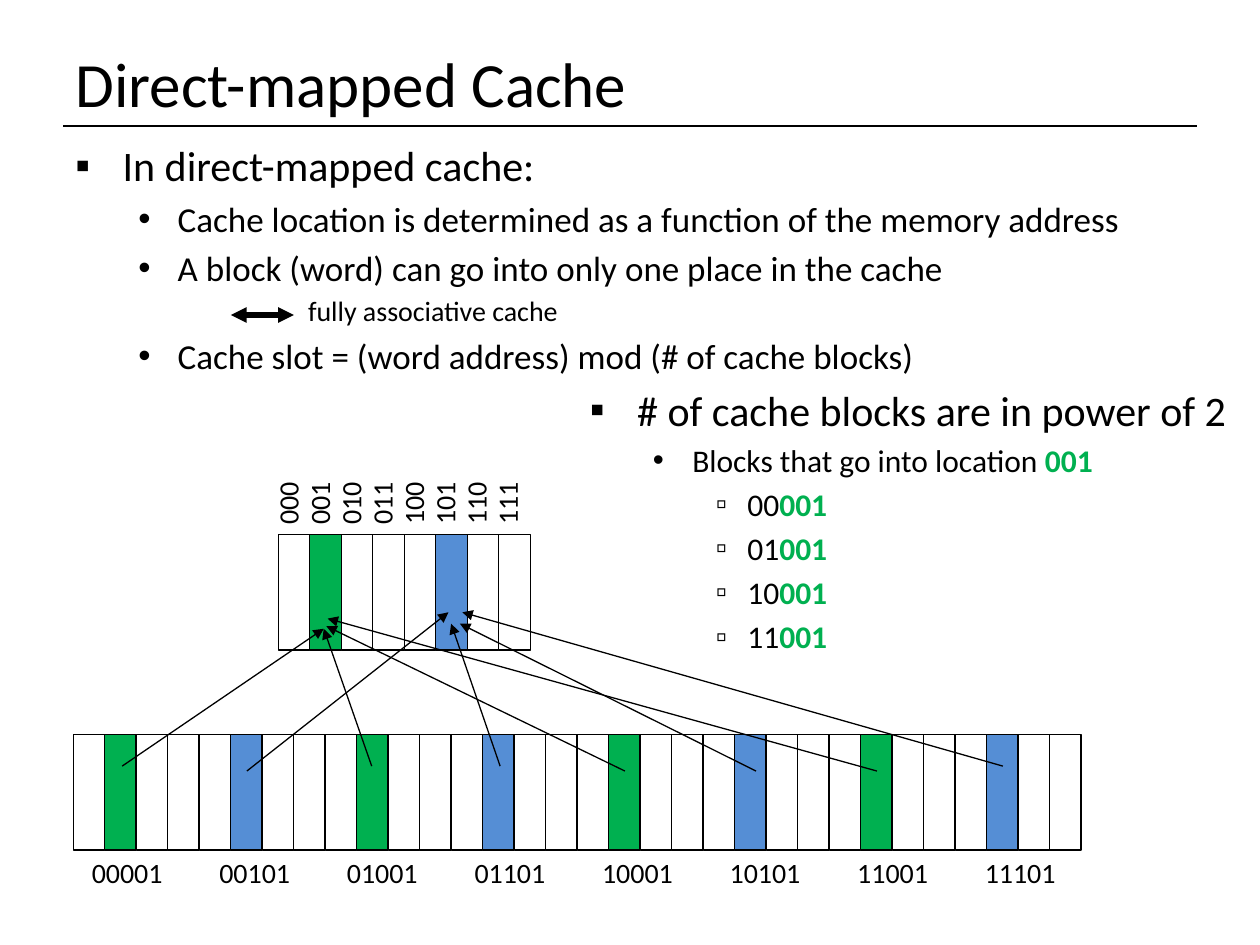
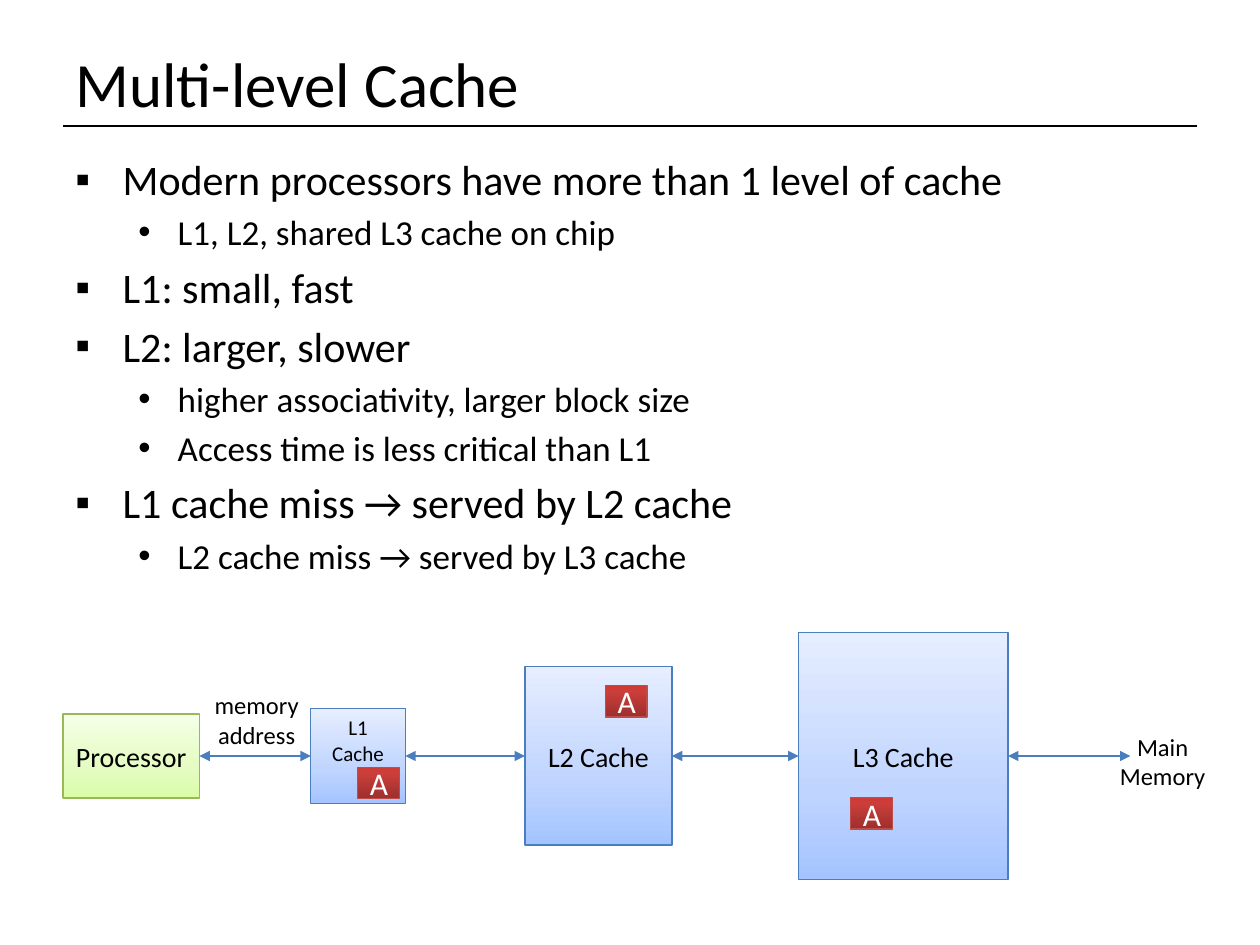
from copy import deepcopy
from dataclasses import dataclass

from pptx import Presentation
from pptx.dml.color import RGBColor as RGB
from pptx.enum.shapes import MSO_CONNECTOR as CONN, MSO_SHAPE as SHAPE
from pptx.enum.text import MSO_ANCHOR as ANCHOR, MSO_AUTO_SIZE as AUTO, PP_ALIGN as ALIGN
from pptx.oxml.ns import qn
from pptx.util import Pt
from lxml.etree import SubElement


@dataclass(frozen=True)
class Theme:
    font: str = "Calibri"
    ink: str = "000000"
    paper: str = "FFFFFF"
    green: str = "00B050"
    blue: str = "558ED5"
    link: str = "4B7EBC"
    cpu_edge: str = "98B955"
    data_edge: str = "BF4C48"
    cpu_grad: tuple = ((0, "DAFDA7"), (0.35, "E4FCC2"), (1, "F5FFE7"))
    cache_grad: tuple = ((0, "A4C4FF"), (0.35, "BFD4FF"), (1, "E6EEFF"))
    data_grad: tuple = ((0, "9C2F2D"), (0.8, "CB3E3A"), (1, "CE3B37"))
    title: int = 36
    head: int = 24
    item: int = 20
    sub: int = 18
    label: int = 16
    note: int = 14
    small: int = 12
    hair: float = 0.75


T = Theme()
LEVELS = {
    "head": (0, 27, -27, "▪"),
    "item": (1, 58.5, -22.5, "•"),
    "sub": (2, 90, -18, "▫"),
    "plain": (2, 133, 0, None),
}


class Deck:
    def __init__(self):
        self.prs = Presentation()
        self.prs.slide_width, self.prs.slide_height = Pt(720), Pt(540)
        self.slide = None

    def style(self, p, size, color=T.ink):
        for r in p.runs:
            r.font.name, r.font.size = T.font, Pt(size)
            r.font.color.rgb = RGB.from_string(color)

    def new_slide(self, title):
        self.slide = self.prs.slides.add_slide(self.prs.slide_layouts[5])
        s = self.slide.shapes.title
        s.left, s.top, s.width, s.height = Pt(36), Pt(21.6), Pt(648), Pt(50.4)
        tf = s.text_frame
        tf.text = title
        tf.auto_size, tf.vertical_anchor = AUTO.NONE, ANCHOR.MIDDLE
        p = tf.paragraphs[0]
        p.alignment = ALIGN.LEFT
        self.style(p, T.title)
        self.line((36, 72), (684, 72))

    def line(self, start, end, color=T.ink, width=T.hair, ends=()):
        s = self.slide.shapes.add_connector(CONN.STRAIGHT, *map(Pt, start + end))
        s.line.color.rgb, s.line.width = RGB.from_string(color), Pt(width)
        ln = s.line._get_or_add_ln()
        for end_name in ends:
            SubElement(ln, qn("a:" + end_name), type="triangle")
        SubElement(s._element.spPr, qn("a:effectLst"))

    def text(self, x, y, w, h, text, size, align=ALIGN.LEFT, vert=None):
        tf = self.slide.shapes.add_textbox(Pt(x), Pt(y), Pt(w), Pt(h)).text_frame
        tf.text, tf.word_wrap = text, True
        p = tf.paragraphs[0]
        p.alignment = align
        self.style(p, size)
        if vert:
            tf._txBody.bodyPr.set("vert", vert)

    def bullets(self, x, y, w, h, items):
        tf = self.slide.shapes.add_textbox(Pt(x), Pt(y), Pt(w), Pt(h)).text_frame
        tf.word_wrap = True
        for i, (kind, size, text, *strong) in enumerate(items):
            p = tf.add_paragraph() if i else tf.paragraphs[0]
            level, margin, indent, mark = LEVELS[kind]
            p.text, p.level = text, level
            self.style(p, size)
            for word in strong:
                r = p.add_run()
                r.text = word
                r.font.name, r.font.size, r.font.bold = T.font, Pt(size), True
                r.font.color.rgb = RGB.from_string(T.green)
            pPr = p._p.get_or_add_pPr()
            pPr.set("marL", str(Pt(margin)))
            pPr.set("indent", str(Pt(indent)))
            SubElement(SubElement(pPr, qn("a:spcBef")), qn("a:spcPct"), val="20000")
            if mark:
                SubElement(pPr, qn("a:buFont"), typeface="Arial")
                SubElement(pPr, qn("a:buChar"), char=mark)
            else:
                SubElement(pPr, qn("a:buNone"))

    def rect(self, x, y, w, h, edge=T.ink):
        s = self.slide.shapes.add_shape(SHAPE.RECTANGLE, Pt(x), Pt(y), Pt(w), Pt(h))
        s.shadow.inherit = False
        s.line.color.rgb, s.line.width = RGB.from_string(edge), Pt(T.hair)
        return s

    def cells(self, x, y, count):
        for i in range(count):
            s = self.rect(x + 18 * i, y, 18, 66.2)
            color = {1: T.green, 5: T.blue}.get(i % 8)
            if color:
                s.fill.solid()
                s.fill.fore_color.rgb = RGB.from_string(color)
            else:
                s.fill.background()

    def box(self, x, y, w, h, text, size, grad, edge, color=T.ink, anchor=ANCHOR.MIDDLE):
        s = self.rect(x, y, w, h, edge)
        s.fill.gradient()
        s.fill.gradient_angle = 90
        stops = s._element.spPr.find(".//" + qn("a:gsLst"))
        stops.insert(1, deepcopy(stops[0]))
        for stop, (position, shade) in zip(s.fill.gradient_stops, grad):
            stop.position, stop.color.rgb = position, RGB.from_string(shade)
        tf = s.text_frame
        tf.text, tf.word_wrap, tf.vertical_anchor = text, True, anchor
        p = tf.paragraphs[0]
        p.alignment = ALIGN.CENTER
        self.style(p, size, color)

    def cache(self, x, y, w, h, text, size, anchor=ANCHOR.MIDDLE):
        self.box(x, y, w, h, text, size, T.cache_grad, T.link, anchor=anchor)

    def data(self, x, y):
        self.box(x, y, 24, 18, "A", T.sub, T.data_grad, T.data_edge, T.paper)


def direct_mapped(deck):
    deck.new_slide("Direct-mapped Cache")
    deck.bullets(36, 76.3, 684, 181.4, [
        ("head", T.head, "In direct-mapped cache:"),
        ("item", T.item, "Cache location is determined as a function of the memory address"),
        ("item", T.item, "A block (word) can go into only one place in the cache"),
        ("plain", T.label, "fully associative cache"),
        ("item", T.item, "Cache slot = (word address) mod (# of cache blocks)"),
    ])
    deck.bullets(330, 216, 390, 318, [
        ("head", T.head, "# of cache blocks are in power of 2"),
        ("item", T.sub, "Blocks that go into location ", "001"),
        *[("sub", T.sub, f"{i:02b}", "001") for i in range(4)],
    ])
    deck.cells(159, 305.3, 8)
    deck.cells(41.8, 419.6, 32)
    arrows = [
        ((69.8, 437.8), (185, 359.3)),
        ((212.4, 437.8), (185, 359.3)),
        ((357.1, 440.6), (186.5, 357.8)),
        ((501.1, 440.6), (187.2, 353.5)),
        ((141.1, 440.6), (256.3, 349.9)),
        ((285.8, 437.8), (257.8, 356.4)),
        ((432, 440.6), (262.8, 356.4)),
        ((573.1, 437.8), (264.2, 349.9)),
    ]
    for start, end in arrows:
        deck.line(start, end, ends=("tailEnd",))
    for i in range(8):
        deck.text(151.2 + 17.9 * i, 262, 33.8, 45, f"{i:03b}", T.label, vert="vert270")
        deck.text(45.4 + 72.9 * i, 485.3, 64, 33.8, f"{4 * i + 1:05b}", T.label)
    deck.line((132, 180), (168, 180), width=3, ends=("headEnd", "tailEnd"))


def multi_level(deck):
    deck.new_slide("Multi-level Cache")
    deck.bullets(36, 84.2, 648, 401.8, [
        ("head", T.head, "Modern processors have more than 1 level of cache"),
        ("item", T.item, "L1, L2, shared L3 cache on chip"),
        ("head", T.head, "L1: small, fast"),
        ("head", T.head, "L2: larger, slower"),
        ("item", T.item, "higher associativity, larger block size"),
        ("item", T.item, "Access time is less critical than L1"),
        ("head", T.head, "L1 cache miss → served by L2 cache"),
        ("item", T.item, "L2 cache miss → served by L3 cache"),
    ])
    deck.box(36, 408, 78, 48, "Processor", T.label, T.cpu_grad, T.cpu_edge)
    deck.cache(177.6, 405, 54, 54, "L1 Cache", T.small, ANCHOR.TOP)
    deck.cache(300, 381, 84, 102, "L2 Cache", T.label)
    deck.cache(456.3, 361.5, 119.7, 141, "L3 Cache", T.label)
    for x1, x2 in ((114, 177.6), (231.6, 300), (384, 456.3), (576, 646)):
        deck.line((x1, 432), (x2, 432), T.link, ends=("headEnd", "tailEnd"))
    deck.text(107.7, 391, 78, 41, "memory address", T.note, ALIGN.CENTER)
    deck.text(625.4, 414.7, 78, 41, "Main Memory", T.note, ALIGN.CENTER)
    for x, y in ((204.2, 438.5), (345.8, 391.7), (486, 455.8)):
        deck.data(x, y)


deck = Deck()
direct_mapped(deck)
multi_level(deck)
deck.prs.save("out.pptx")
